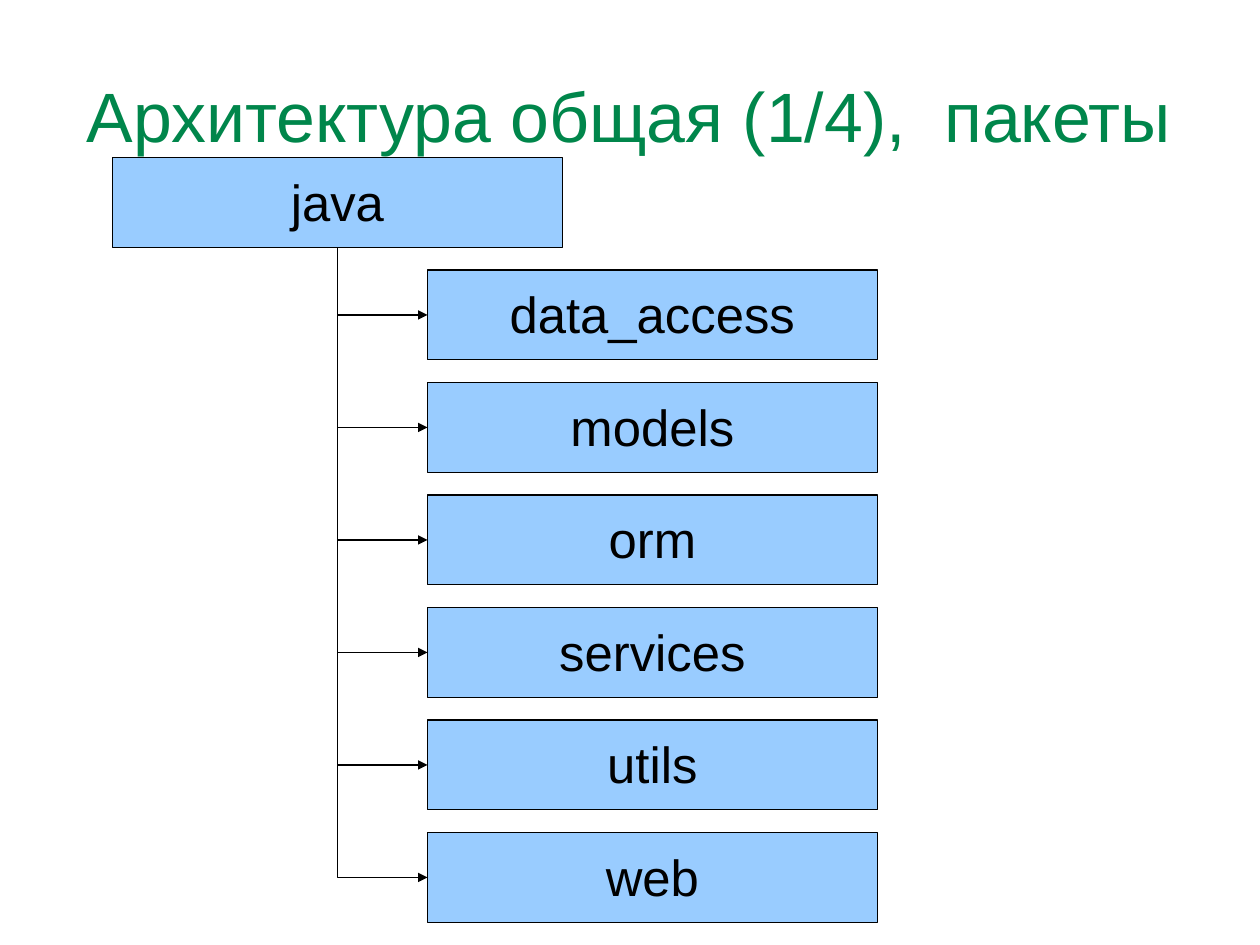
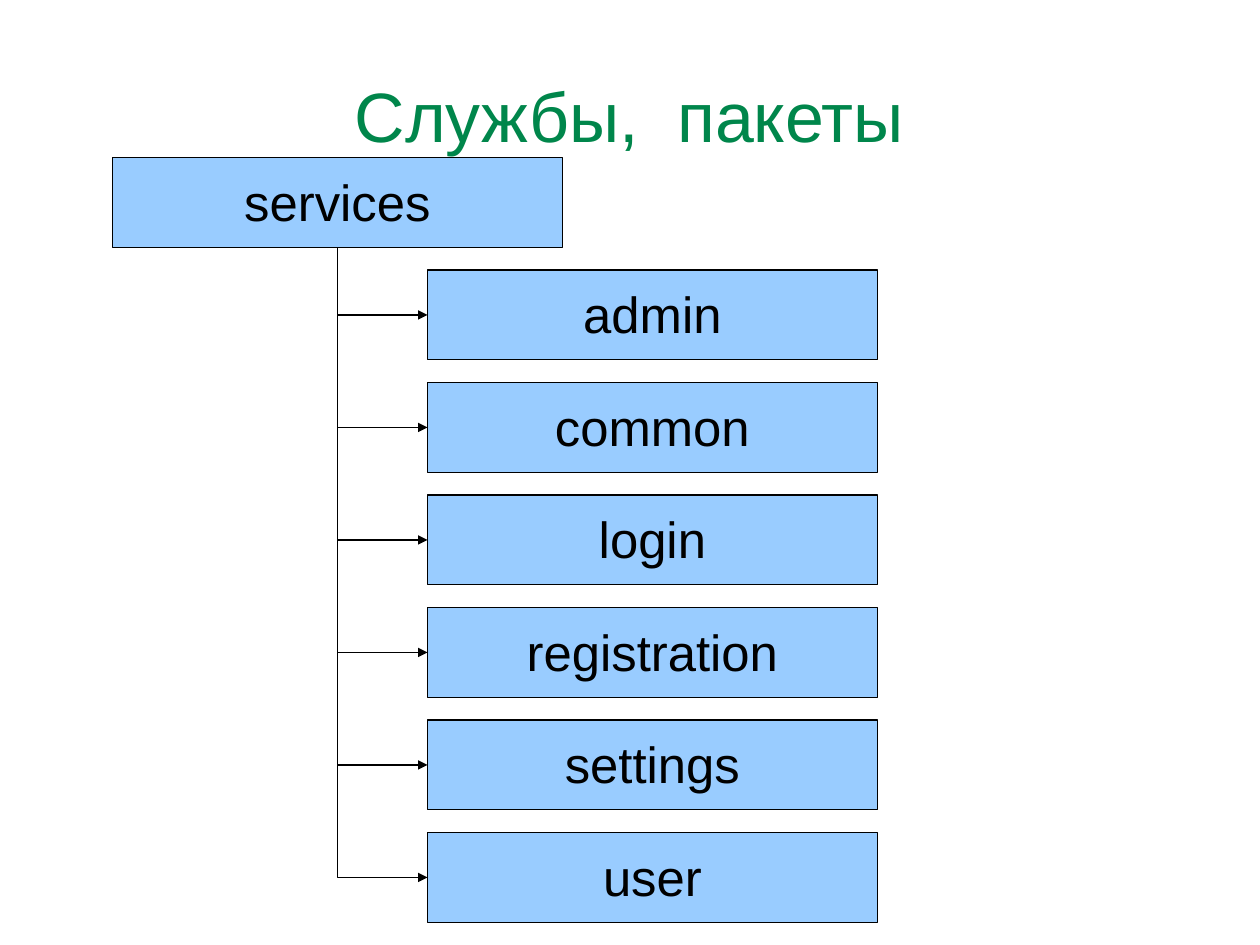
from lxml.etree import SubElement
from pptx import Presentation
from pptx.dml.color import RGBColor
from pptx.enum.shapes import MSO_CONNECTOR, MSO_SHAPE
from pptx.enum.text import MSO_ANCHOR, MSO_AUTO_SIZE, PP_ALIGN
from pptx.oxml.ns import qn
from pptx.util import Inches, Pt

GREEN = RGBColor(0x00, 0x86, 0x4B)
BLUE = RGBColor(0x99, 0xCC, 0xFF)
BLACK = RGBColor(0, 0, 0)
FONT = "Arial"
THIN = Pt(0.75)


def metric(size):
    """Turn centimetres, the grid of these slides, into a length."""
    return Inches(size / 2.54)


WIDE, HIGH = metric(10), metric(2)
ROOT_X, LEAF_X = metric(2.5), metric(9.5)
FIRST_Y, PITCH = metric(3.5), metric(2.5)

TREES = [
    ("Архитектура общая (1/4),  пакеты", "java",
     ["data_access", "models", "orm", "services", "utils", "web"]),
    ("Службы,  пакеты", "services",
     ["admin", "common", "login", "registration", "settings", "user"]),
]


def set_frame(frame, left, top, right, bottom):
    """Centre the text vertically and set the four insets in inches."""
    frame.vertical_anchor = MSO_ANCHOR.MIDDLE
    frame.auto_size = MSO_AUTO_SIZE.NONE
    frame.margin_left, frame.margin_top = Inches(left), Inches(top)
    frame.margin_right, frame.margin_bottom = Inches(right), Inches(bottom)


def set_layout(layout):
    """Place the title once for all slides."""
    title = layout.placeholders[0]
    title.left, title.top = Inches(0.55), Inches(0.33)
    title.width, title.height = Inches(9.92), Inches(1.38)
    set_frame(title.text_frame, 0, 0.04, 0, 0)


def add_text(frame, text, size, color):
    para = frame.paragraphs[0]
    para.alignment = PP_ALIGN.CENTER
    para.line_spacing = 0.93
    run = para.add_run()
    run.text = text
    run.font.name = FONT
    run.font.size = Pt(size)
    run.font.color.rgb = color


def add_box(slide, text, left, top):
    box = slide.shapes.add_shape(MSO_SHAPE.RECTANGLE, left, top, WIDE, HIGH)
    box.shadow.inherit = False
    box.fill.solid()
    box.fill.fore_color.rgb = BLUE
    box.line.color.rgb = BLACK
    box.line.width = THIN
    set_frame(box.text_frame, 0.1, 0.08, 0.1, 0.05)
    box.text_frame.word_wrap = False
    add_text(box.text_frame, text, 32, BLACK)


def add_bend(slide, x1, y1, x2, y2):
    """Draw an arrow that runs down from the start, then right to the end."""
    run, drop = x2 - x1, y2 - y1
    # The preset bends right then down, so it is mirrored and turned.
    left, top = (x1 + x2 - drop) // 2, (y1 + y2 - run) // 2
    bend = slide.shapes.add_connector(
        MSO_CONNECTOR.ELBOW, left, top, left + drop, top + run)
    props = bend._element.spPr
    props.find(qn("a:prstGeom")).set("prst", "bentConnector2")
    frame = props.find(qn("a:xfrm"))
    frame.set("rot", str(270 * 60000))
    frame.set("flipH", "1")
    bend.line.color.rgb = BLACK
    bend.line.width = THIN
    SubElement(props.find(qn("a:ln")), qn("a:tailEnd"), type="triangle")
    SubElement(props, qn("a:effectLst"))


def add_tree(slide, root, leaves):
    """Draw a root box, the leaves below it and a chain of arrows to them."""
    add_box(slide, root, ROOT_X, FIRST_Y)
    tops = [FIRST_Y + row * PITCH for row in range(1, len(leaves) + 1)]
    for leaf, top in zip(leaves, tops):
        add_box(slide, leaf, LEAF_X, top)
    trunk_x, start = ROOT_X + WIDE // 2, FIRST_Y + HIGH
    for top in tops:
        mid_y = top + HIGH // 2
        add_bend(slide, trunk_x, start, LEAF_X, mid_y)
        start = mid_y


def main():
    deck = Presentation()
    deck.slide_width, deck.slide_height = metric(28), metric(21)
    layout = deck.slide_layouts.get_by_name("Title Only")
    set_layout(layout)
    for title, root, leaves in TREES:
        slide = deck.slides.add_slide(layout)
        add_text(slide.shapes.title.text_frame, title, 44, GREEN)
        add_tree(slide, root, leaves)
    deck.save("out.pptx")


if __name__ == "__main__":
    main()
